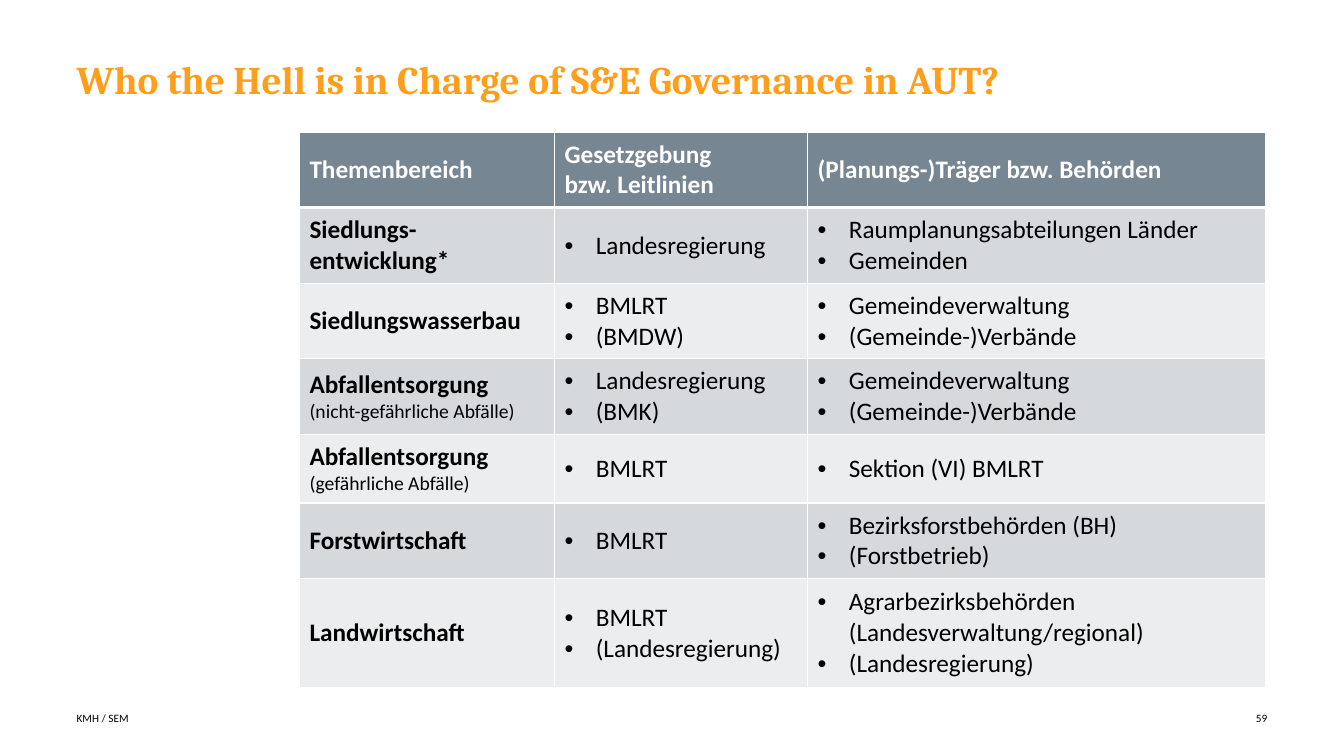
"""Build the slide on settlement and environmental governance in Austria."""
from lxml import etree
from pptx import Presentation
from pptx import util as u
from pptx.dml.color import RGBColor
from pptx.enum import text
from pptx.oxml import ns

PX = 9144
ORANGE = RGBColor(0xFF, 0x9E, 0x1B)
SLATE = RGBColor(0x76, 0x86, 0x92)
GREY = RGBColor(0xD6, 0xD9, 0xDC)
PALE = RGBColor(0xEC, 0xED, 0xEE)
WHITE = RGBColor(0xFF, 0xFF, 0xFF)
BLACK = RGBColor(0, 0, 0)

COLUMNS = [253, 251, 454]
ROW_HEIGHTS = [75, 75, 75, 75, 68, 75, 108]
HEADINGS = ["Themenbereich", "Gesetzgebung \nbzw. Leitlinien",
            "(Planungs-)Träger bzw. Behörden"]
TOPICS = [
    ("Siedlungs-entwicklung*", "", ["Landesregierung"],
     ["Raumplanungsabteilungen Länder", "Gemeinden"]),
    ("Siedlungswasserbau", "", ["BMLRT", "(BMDW)"],
     ["Gemeindeverwaltung", "(Gemeinde-)Verbände"]),
    ("Abfallentsorgung", "(nicht-gefährliche Abfälle)", ["Landesregierung", "(BMK)"],
     ["Gemeindeverwaltung", "(Gemeinde-)Verbände"]),
    ("Abfallentsorgung", "(gefährliche Abfälle)", ["BMLRT"], ["Sektion (VI) BMLRT"]),
    ("Forstwirtschaft", "", ["BMLRT"], ["Bezirksforstbehörden (BH)", "(Forstbetrieb)"]),
    ("Landwirtschaft", "", ["BMLRT", "(Landesregierung)"],
     ["Agrarbezirksbehörden (Landesverwaltung/regional)", "(Landesregierung)"]),
]


def px(*lengths):
    """Turn pixel lengths into EMU."""
    return [u.Emu(n * PX) for n in lengths]


def write(p, words, size=18, color=BLACK, bold=False, font="Calibri"):
    """Append formatted text to a paragraph, breaking lines at newlines."""
    for i, line in enumerate(words.split("\n")):
        if i:
            p.add_line_break()
        r = p.add_run()
        r.text = line
        r.font.size = u.Pt(size)
        r.font.name = font
        r.font.bold = bold
        r.font.color.rgb = color


def place_frame(shape, box, anchor):
    """Position a text shape, drop its insets and return its first paragraph."""
    shape.left, shape.top, shape.width, shape.height = px(*box)
    tf = shape.text_frame
    tf.word_wrap = True
    tf.auto_size = text.MSO_AUTO_SIZE.NONE
    tf.vertical_anchor = anchor
    tf.margin_left = tf.margin_top = tf.margin_right = tf.margin_bottom = 0
    p = tf.paragraphs[0]
    p.alignment = text.PP_ALIGN.LEFT
    return p


def add_title(s, words):
    """Fill the title placeholder."""
    p = place_frame(s.shapes.title, (76, 60, 1063, 87), text.MSO_ANCHOR.TOP)
    p.line_spacing = 0.9
    write(p, words, size=28, color=ORANGE, bold=True, font="Cambria")


def add_footer(s, words, box, align):
    """Add a small text at the foot of the slide."""
    p = place_frame(s.shapes.add_textbox(*px(*box)), box, text.MSO_ANCHOR.MIDDLE)
    p.alignment = align
    write(p, words, size=8)


def add_bullets(cell, items):
    """Write a bulleted list into a cell."""
    tf = cell.text_frame
    for i, item in enumerate(items):
        p = tf.add_paragraph() if i else tf.paragraphs[0]
        pPr = p._p.get_or_add_pPr()
        pPr.set("marL", str(31 * PX))
        pPr.set("indent", str(-31 * PX))
        etree.SubElement(pPr, ns.qn("a:buFont"), typeface="Arial")
        etree.SubElement(pPr, ns.qn("a:buChar"), char="•")
        write(p, item)


def style_cell(cell, fill, top=1, bottom=1):
    """Centre a cell vertically, fill it and draw its white borders."""
    cell.vertical_anchor = text.MSO_ANCHOR.MIDDLE
    cell.fill.solid()
    cell.fill.fore_color.rgb = fill
    tcPr = cell._tc.get_or_add_tcPr()
    widths = {"lnL": 1, "lnR": 1, "lnT": top, "lnB": bottom}
    for i, (side, width) in enumerate(widths.items()):
        ln = etree.Element(ns.qn(f"a:{side}"), w=str(u.Pt(width)))
        solid = etree.SubElement(ln, ns.qn("a:solidFill"))
        etree.SubElement(solid, ns.qn("a:srgbClr"), val=str(WHITE))
        tcPr.insert(i, ln)


def add_governance_table(s):
    """Add the table of topics, legislation and authorities."""
    box = px(297, 131, sum(COLUMNS), sum(ROW_HEIGHTS))
    table = s.shapes.add_table(len(ROW_HEIGHTS), len(COLUMNS), *box).table
    for column, width in zip(table.columns, px(*COLUMNS)):
        column.width = width
    for row, height in zip(table.rows, px(*ROW_HEIGHTS)):
        row.height = height
    for cell, heading in zip(table.rows[0].cells, HEADINGS):
        write(cell.text_frame.paragraphs[0], heading, color=WHITE, bold=True)
        style_cell(cell, SLATE, bottom=3)
    for i, (topic, detail, laws, bodies) in enumerate(TOPICS, 1):
        cells = list(table.rows[i].cells)
        p = cells[0].text_frame.paragraphs[0]
        write(p, topic, bold=True)
        if detail:
            p.add_line_break()
            write(p, detail, size=14)
        add_bullets(cells[1], laws)
        add_bullets(cells[2], bodies)
        for cell in cells:
            style_cell(cell, GREY if i % 2 else PALE, top=3 if i == 1 else 1)


def main():
    """Build and save the presentation."""
    prs = Presentation()
    prs.slide_width, prs.slide_height = px(1333, 750)
    s = prs.slides.add_slide(prs.slide_layouts.get_by_name("Title Only"))
    add_title(s, "Who the Hell is in Charge of S&E Governance in AUT?")
    add_governance_table(s)
    add_footer(s, "KMH / SEM", (76, 704, 559, 16), text.PP_ALIGN.LEFT)
    add_footer(s, "59", (1202, 704, 55, 16), text.PP_ALIGN.RIGHT)
    prs.save("out.pptx")


if __name__ == "__main__":
    main()
